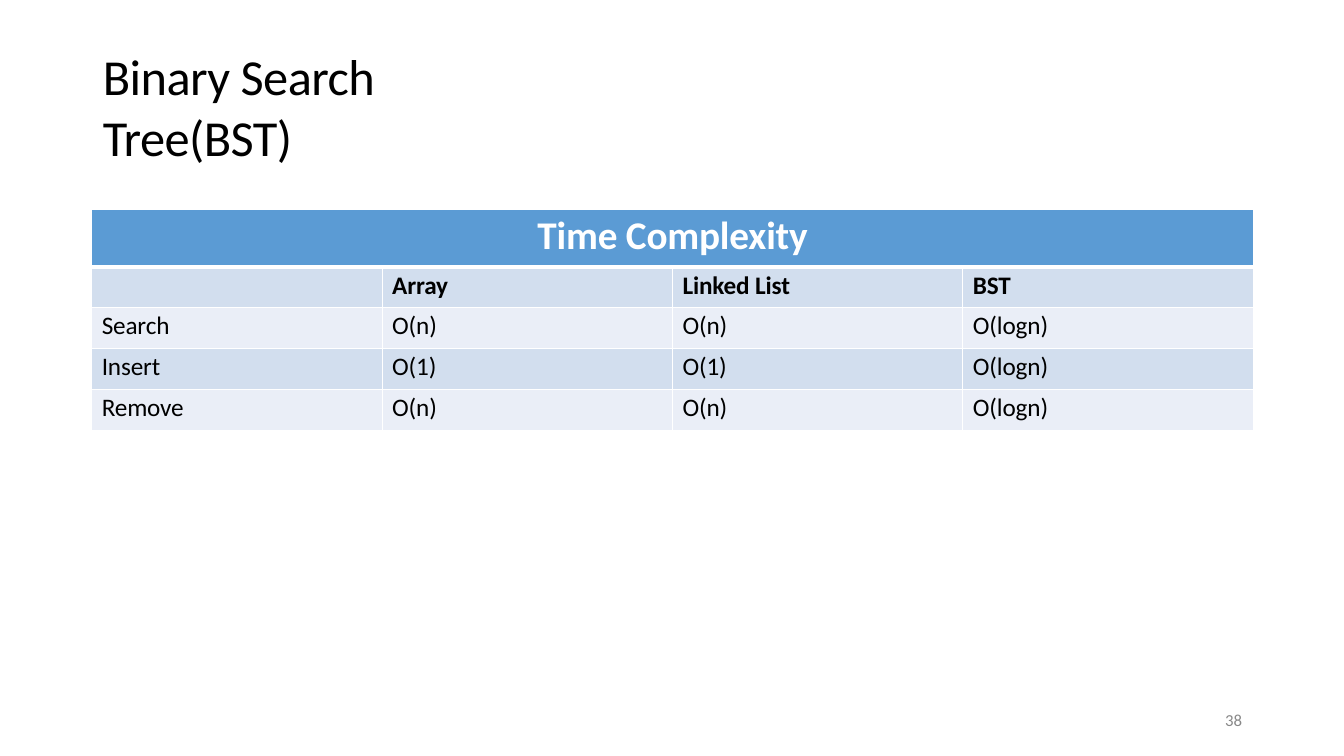
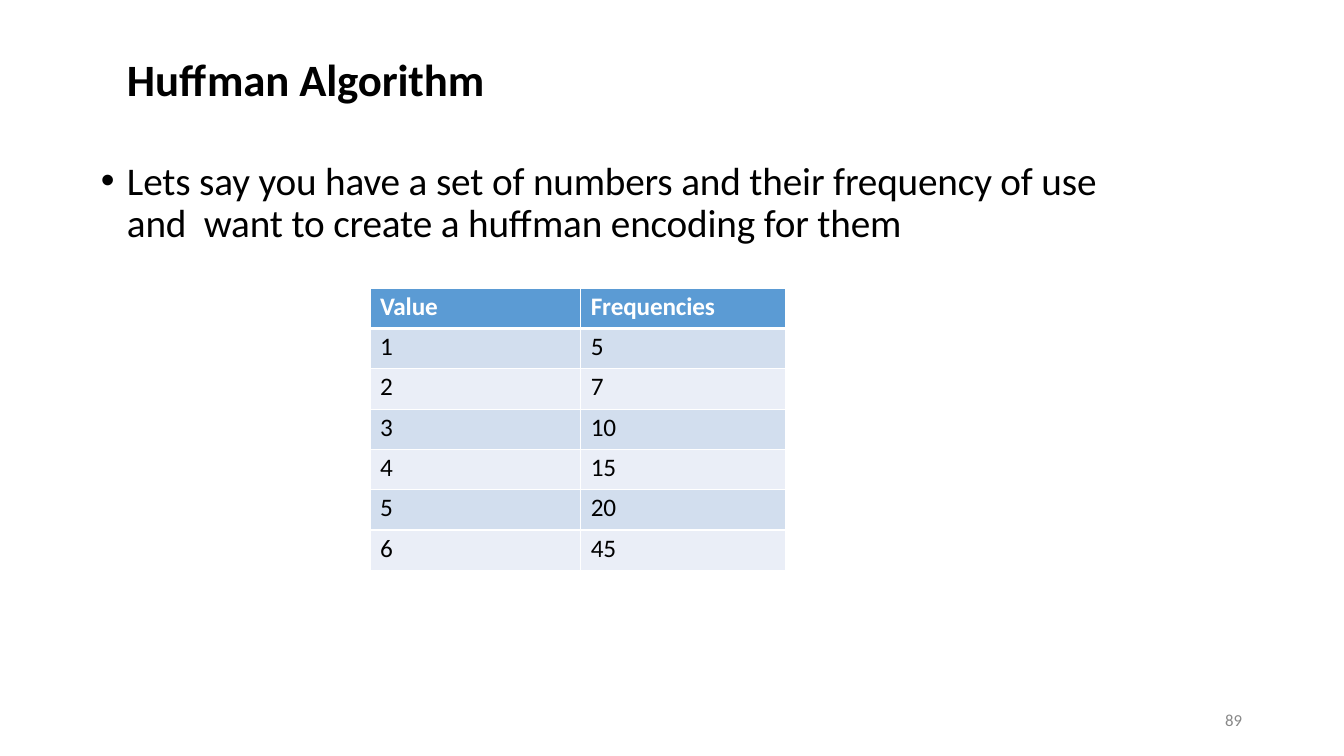
from lxml import etree
from pptx import Presentation
from pptx.dml.color import RGBColor
from pptx.enum.text import MSO_ANCHOR, PP_ALIGN
from pptx.oxml.ns import qn
from pptx.util import Inches, Pt

FONT = "Calibri"
BLACK = RGBColor(0x00, 0x00, 0x00)
WHITE = RGBColor(0xFF, 0xFF, 0xFF)
GREY = RGBColor(0x88, 0x88, 0x88)
HEADER_BLUE = RGBColor(0x5B, 0x9B, 0xD4)
BANDS = (RGBColor(0xD2, 0xDE, 0xEE), RGBColor(0xEA, 0xEE, 0xF7))
THIN, THICK = 1, 3


def write(frame, content, size=18, color=BLACK, bold=False, align=PP_ALIGN.LEFT,
          spacing=-0.1, line_pitch=None, bullet_indent=None):
    """Put one formatted paragraph in a text frame; spacing is between letters, in points."""
    paragraph = frame.paragraphs[0]
    if bullet_indent:
        properties = paragraph._p.get_or_add_pPr()
        properties.set("marL", str(Inches(bullet_indent)))
        properties.set("indent", str(-Inches(bullet_indent)))
        etree.SubElement(properties, qn("a:buFont"), typeface="Arial")
        etree.SubElement(properties, qn("a:buChar"), char="•")
    paragraph.alignment = align
    if line_pitch:
        paragraph.line_spacing = Pt(line_pitch)
    run = paragraph.add_run()
    run.text = content
    run.font.name = FONT
    run.font.size = Pt(size)
    run.font.bold = bold
    run.font.color.rgb = color
    run._r.get_or_add_rPr().set("spc", str(round(spacing * 100)))


def add_text(slide, content, left, top, width, height, **text_format):
    frame = slide.shapes.add_textbox(
        Inches(left), Inches(top), Inches(width), Inches(height)).text_frame
    frame.margin_left = frame.margin_right = 0
    frame.margin_top = frame.margin_bottom = 0
    frame.word_wrap = True
    frame.vertical_anchor = MSO_ANCHOR.TOP
    write(frame, content, **text_format)


def add_title(slide, content, left, top, width, **text_format):
    add_text(slide, content, left, top, width, 0.6, **text_format)


def add_page_number(slide, number):
    add_text(slide, str(number), 12.15, 7.07, 0.25, 0.2,
             size=12, color=GREY, spacing=0, line_pitch=12.4)


def set_borders(cell, top, bottom):
    """Draw white borders; top and bottom are widths in points."""
    properties = cell._tc.get_or_add_tcPr()
    for side, width in (("L", THIN), ("R", THIN), ("T", top), ("B", bottom)):
        line = etree.SubElement(properties, qn(f"a:ln{side}"), w=str(Pt(width)))
        fill = etree.SubElement(line, qn("a:solidFill"))
        etree.SubElement(fill, qn("a:srgbClr"), val=str(WHITE))


def style_cell(cell, row):
    set_borders(cell, top=THICK if row == 1 else THIN, bottom=THICK if row == 0 else THIN)
    cell.fill.solid()
    cell.fill.fore_color.rgb = BANDS[(row - 1) % 2] if row else HEADER_BLUE
    cell.margin_left = Inches(0.1)
    cell.margin_right = cell.margin_bottom = 0
    cell.margin_top = Inches(0.03)
    cell.vertical_anchor = MSO_ANCHOR.TOP


def add_banded_table(slide, rows, left, top, widths, height, header_height,
                     bold_rows=(0,), banner=None):
    """Add a table; banner holds the format of a first row merged across all columns."""
    table = slide.shapes.add_table(
        len(rows), len(widths), Inches(left), Inches(top),
        Inches(sum(widths)), Inches(height)).table
    table.horz_banding = False
    for column, width in zip(table.columns, widths):
        column.width = Inches(width)
    body_height = (height - header_height) / (len(rows) - 1)
    for r, values in enumerate(rows):
        table.rows[r].height = Inches(body_height if r else header_height)
        for c in range(len(widths)):
            style_cell(table.cell(r, c), r)
        for c, value in enumerate(values):
            if value:
                write(table.cell(r, c).text_frame, value,
                      color=BLACK if r else WHITE, bold=r in bold_rows,
                      **(banner if banner and r == 0 else {}))
    if banner:
        table.cell(0, 0).merge(table.cell(0, len(widths) - 1))
        table.cell(0, 0).margin_left = 0


def build_complexity(slide):
    add_page_number(slide, 38)
    add_title(slide, "Binary Search Tree(BST)", 1.02, 0.45, 4.2, size=36, spacing=-0.4)
    rows = [
        ["Time Complexity"],
        ["", "Array", "Linked List", "BST"],
        ["Search", "O(n)", "O(n)", "O(logn)"],
        ["Insert", "O(1)", "O(1)", "O(logn)"],
        ["Remove", "O(n)", "O(n)", "O(logn)"],
    ]
    add_banded_table(slide, rows, 0.91, 2.08, [2.88] * 4, 2.19, 0.57, bold_rows=(0, 1),
                     banner={"size": 28, "align": PP_ALIGN.CENTER})


def build_huffman(slide):
    add_page_number(slide, 89)
    add_title(slide, "Huffman Algorithm", 1.26, 0.51, 4.7, size=32, bold=True)
    add_text(slide, "Lets say you have a set of numbers and their frequency of use "
                    "and  want to create a huffman encoding for them",
             1, 1.6, 10.3, 0.84, size=28, line_pitch=30.2, bullet_indent=0.26)
    frequencies = {1: 5, 2: 7, 3: 10, 4: 15, 5: 20, 6: 45}
    rows = [["Value", "Frequencies"]]
    rows += [[str(value), str(count)] for value, count in frequencies.items()]
    add_banded_table(slide, rows, 3.67, 2.86, [2.09, 2.03], 2.8, 0.4)


def main():
    deck = Presentation()
    deck.slide_width, deck.slide_height = Inches(13.33), Inches(7.5)
    for build in (build_complexity, build_huffman):
        build(deck.slides.add_slide(deck.slide_layouts[6]))
    deck.save("out.pptx")


if __name__ == "__main__":
    main()
